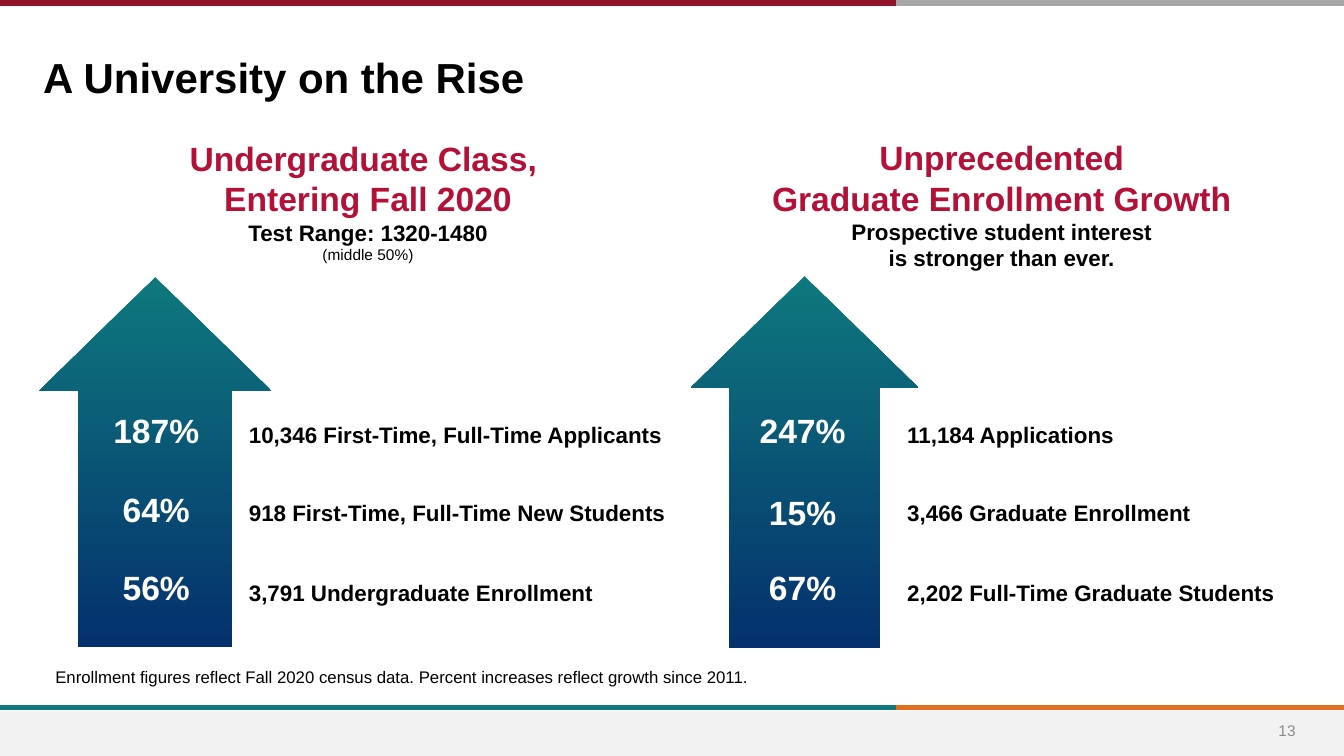
from lxml import etree
from pptx import Presentation
from pptx import util as u
from pptx.dml.color import RGBColor
from pptx.enum import shapes, text
from pptx.oxml.ns import qn

PX = 9144  # 100 px to the inch
COLORS = {
    "black": "000000", "white": "FFFFFF", "red": "B31138", "maroon": "90152A",
    "teal": "0F787D", "navy": "04316D", "orange": "DF7023", "silver": "A6A6A6",
    "footer": "F2F2F2", "number": "8C8C8C",
}


def rgb(name):
    return RGBColor.from_string(COLORS[name])


def add_text(value, box, size=16, color="black", bold=True, align="LEFT",
             wrap=True, inset=None, middle=False, space=0):
    """Add a text box; value is a string or a list of (text, size, color, bold)."""
    tf = s.shapes.add_textbox(*(n * PX for n in box)).text_frame
    tf.word_wrap = wrap
    if middle:
        tf.vertical_anchor = text.MSO_ANCHOR.MIDDLE
    if inset is not None:
        tf.margin_left = tf.margin_right = tf.margin_top = tf.margin_bottom = inset
    lines = [(value, size, color, bold)] if isinstance(value, str) else value
    for i, (line, line_size, line_color, line_bold) in enumerate(lines):
        p = tf.add_paragraph() if i else tf.paragraphs[0]
        p.text = line
        p.alignment = text.PP_ALIGN[align]
        if space:
            p.space_after = u.Pt(space)
        for r in p.runs:
            r.font.name = "Arial"
            r.font.size = u.Pt(line_size)
            r.font.bold = line_bold
            r.font.color.rgb = rgb(line_color)


prs = Presentation()
prs.slide_width, prs.slide_height = 1333 * PX, 750 * PX
s = prs.slides.add_slide(prs.slide_layouts[6])

# Footer band
sp = s.shapes.add_shape(shapes.MSO_SHAPE.RECTANGLE, 0, 705 * PX, 1333 * PX, 45 * PX)
sp.shadow.inherit = False
sp.fill.solid()
sp.fill.fore_color.rgb = rgb("footer")
sp.line.fill.background()

# Two-colour rules at the bottom and top
for y, left_color, right_color in [(702, "teal", "orange"), (3, "maroon", "silver")]:
    for x1, x2, color in [(889, 1333, right_color), (0, 889, left_color)]:
        rule = s.shapes.add_connector(shapes.MSO_CONNECTOR.STRAIGHT,
                                      x1 * PX, y * PX, x2 * PX, y * PX)
        rule.line.color.rgb = rgb(color)
        rule.line.width = u.Pt(4)
        etree.SubElement(rule._element.spPr, qn("a:effectLst"))

# Page number and title
add_text("13", (1242, 705, 69, 40), size=11, color="number", bold=False,
         align="CENTER", middle=True)
add_text("A University on the Rise", (33, 46, 1065, 59), size=30)

# Columns: heading, arrow, then percentages with their labels
columns = [
    {
        "heading": [("Undergraduate Class, \nEntering Fall 2020", 24, "red", True),
                    ("Test Range: 1320-1480", 16, "black", True),
                    ("(middle 50%)", 11, "black", False)],
        "heading_box": (111, 137, 508, 126),
        "arrow_box": (39, 275, 230, 367),
        "percent_x": 86, "percent_w": 138, "label_x": 237, "label_w": 451,
        "rows": [("187%", 402, "10,346 First-Time, Full-Time Applicants"),
                 ("64%", 480, "918 First-Time, Full-Time New Students"),
                 ("56%", 558, "3,791 Undergraduate Enrollment")],
    },
    {
        "heading": [("Unprecedented\nGraduate Enrollment Growth", 24, "red", True),
                    ("Prospective student interest\nis stronger than ever.",
                     16, "black", True)],
        "heading_box": (728, 136, 531, 135),
        "arrow_box": (685, 274, 226, 369),
        "percent_x": 729, "percent_w": 134, "label_x": 890, "label_w": 403,
        "rows": [("247%", 402, "11,184 Applications"),
                 ("15%", 483, "3,466 Graduate Enrollment"),
                 ("67%", 558, "2,202 Full-Time Graduate Students")],
    },
]
label_tops = (413, 490, 570)

for col in columns:
    add_text(col["heading"], col["heading_box"], align="CENTER", inset=0)

    arrow = s.shapes.add_shape(shapes.MSO_SHAPE.UP_ARROW,
                               *(n * PX for n in col["arrow_box"]))
    arrow.shadow.inherit = False
    arrow.adjustments[0], arrow.adjustments[1] = 0.66, 0.49
    arrow.line.fill.background()
    arrow.fill.gradient()
    arrow.fill.gradient_angle = 270
    for stop, color in zip(arrow.fill.gradient_stops, ("teal", "navy")):
        stop.color.rgb = rgb(color)

    for (percent, top, label), label_top in zip(col["rows"], label_tops):
        add_text(percent, (col["percent_x"], top, col["percent_w"], 50),
                 size=24, color="white", align="CENTER")
        add_text(label, (col["label_x"], label_top, col["label_w"], 37))

# Footnote
add_text("Enrollment figures reflect Fall 2020 census data. "
         "Percent increases reflect growth since 2011.",
         (45, 657, 713, 30), size=12, bold=False, wrap=False, space=6)

prs.save("out.pptx")
